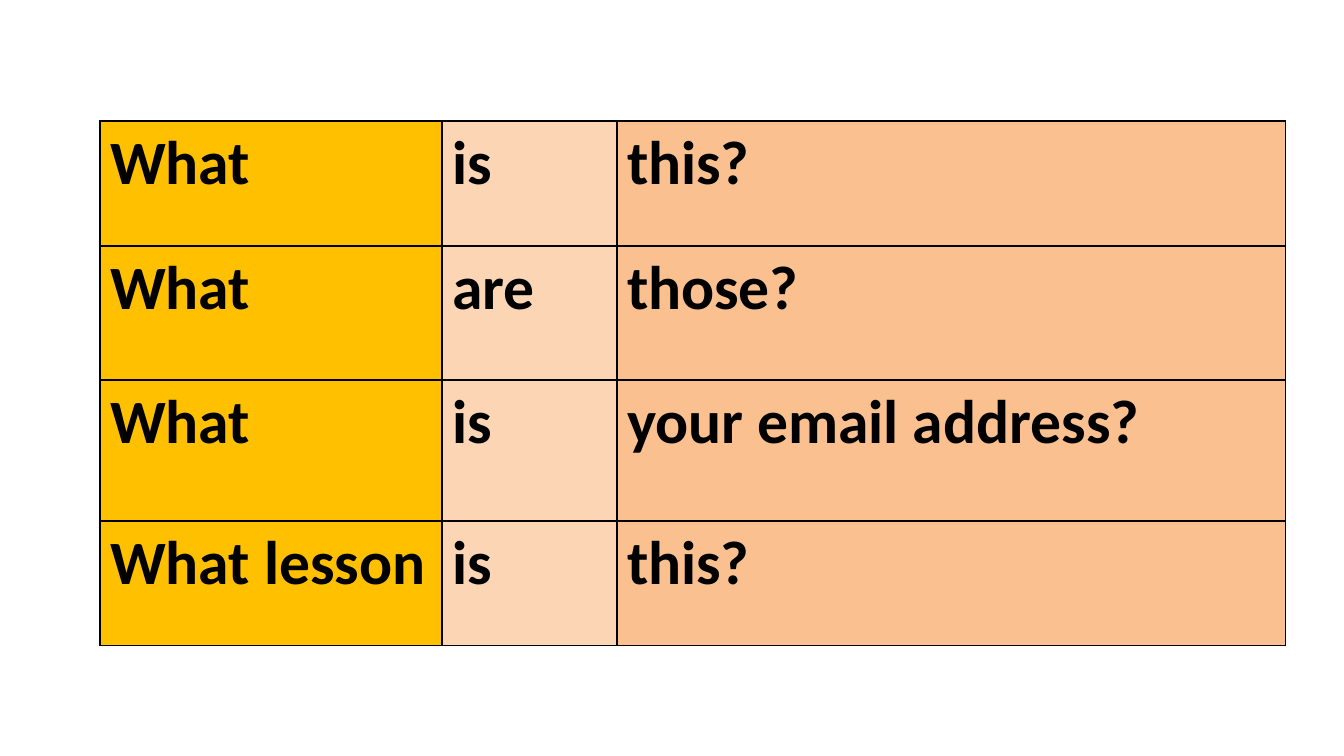
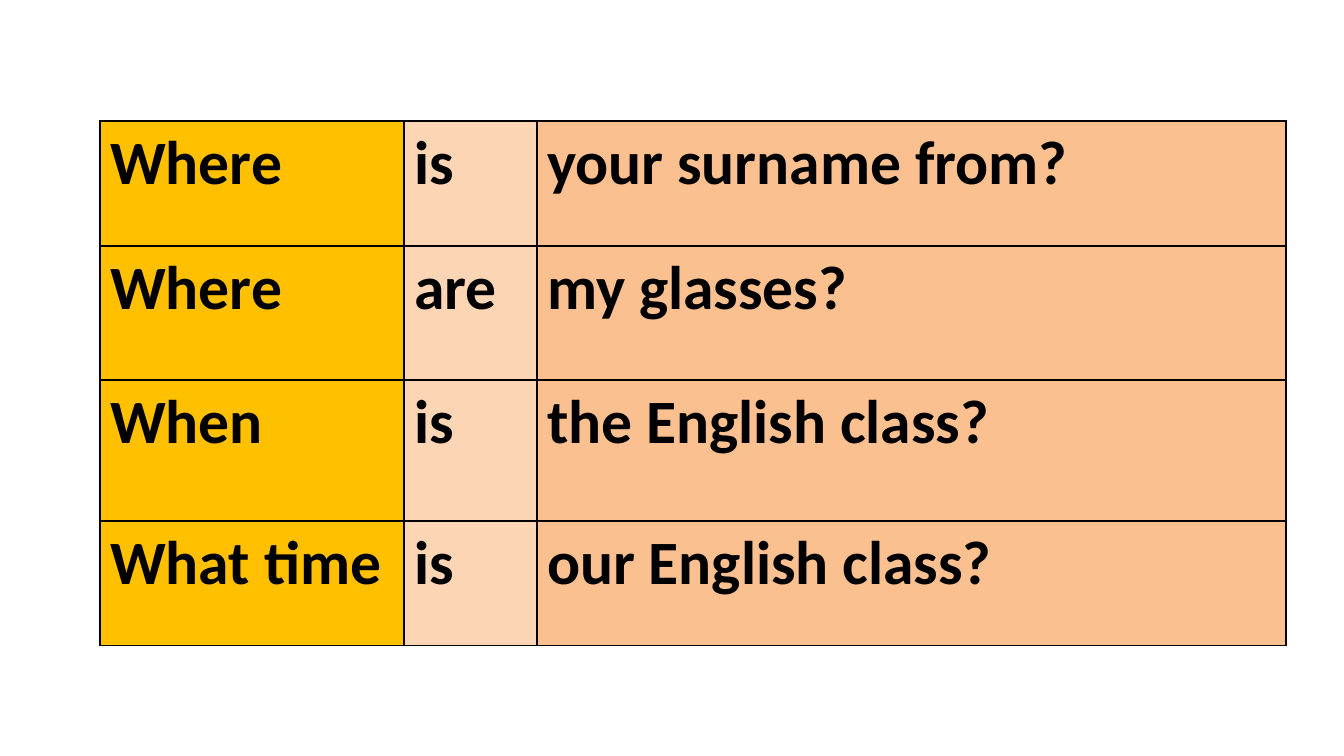
from lxml import etree
from pptx import Presentation
from pptx.dml.color import RGBColor
from pptx.oxml.ns import qn
from pptx.util import Emu, Pt

EMU_PER_PX = 914400 / 100.8
SLIDE_SIZE = (1344, 756)
BLANK_LAYOUT = 6
FONT = "Calibri"
COLORS = {
    "text": "000000",
    "border": "000000",
    "question": "FFC000",
    "verb": "FCD5B5",
    "subject": "FAC090",
}

# Shared table frame: the slides differ only in column widths and words
TABLE_LEFT, TABLE_TOP, TABLE_WIDTH = 100, 121, 1186
ROW_HEIGHTS = (125, 134, 141, 125)
COLUMN_FILLS = ("question", "verb", "subject")
BORDER_SIDES = ("a:lnL", "a:lnR", "a:lnT", "a:lnB")

# Each slide: widths of the question and verb columns, then the sentences
SLIDES = [
    ((342, 175), [
        ("What", "is", "this?"),
        ("What", "are", "those?"),
        ("What", "is", "your email address?"),
        ("What lesson", "is", "this?"),
    ]),
    ((304, 133), [
        ("Where", "is", "your surname from?"),
        ("Where", "are", "my glasses?"),
        ("When", "is", "the English class?"),
        ("What time", "is", "our English class?"),
    ]),
]


def px(length):
    return Emu(round(length * EMU_PER_PX))


def write_text(frame, text, size=44, color="text", bold=True):
    run = frame.paragraphs[0].add_run()
    run.text = text
    run.font.name = FONT
    run.font.size = Pt(size)
    run.font.bold = bold
    run.font.color.rgb = RGBColor.from_string(COLORS[color])


def set_borders(cell, color="border", width=1):
    properties = cell._tc.get_or_add_tcPr()
    # Border lines must come before the fill
    for position, side in enumerate(BORDER_SIDES):
        line = etree.Element(qn(side), w=str(Pt(width)))
        fill = etree.SubElement(line, qn("a:solidFill"))
        etree.SubElement(fill, qn("a:srgbClr"), val=COLORS[color])
        properties.insert(position, line)


def style_cell(cell, text, fill):
    cell.fill.solid()
    cell.fill.fore_color.rgb = RGBColor.from_string(COLORS[fill])
    set_borders(cell)
    write_text(cell.text_frame, text)


def add_sentence_table(slide, lead_widths, sentences):
    widths = (*lead_widths, TABLE_WIDTH - sum(lead_widths))
    table = slide.shapes.add_table(
        len(sentences), len(widths), px(TABLE_LEFT), px(TABLE_TOP),
        px(TABLE_WIDTH), px(sum(ROW_HEIGHTS))).table
    table.first_row = False
    table.horz_banding = False
    for column, width in zip(table.columns, widths):
        column.width = px(width)
    for row, height, words in zip(table.rows, ROW_HEIGHTS, sentences):
        row.height = px(height)
        for cell, word, fill in zip(row.cells, words, COLUMN_FILLS):
            style_cell(cell, word, fill)


def main():
    deck = Presentation()
    deck.slide_width, deck.slide_height = map(px, SLIDE_SIZE)
    for lead_widths, sentences in SLIDES:
        slide = deck.slides.add_slide(deck.slide_layouts[BLANK_LAYOUT])
        add_sentence_table(slide, lead_widths, sentences)
    deck.save("out.pptx")


if __name__ == "__main__":
    main()
